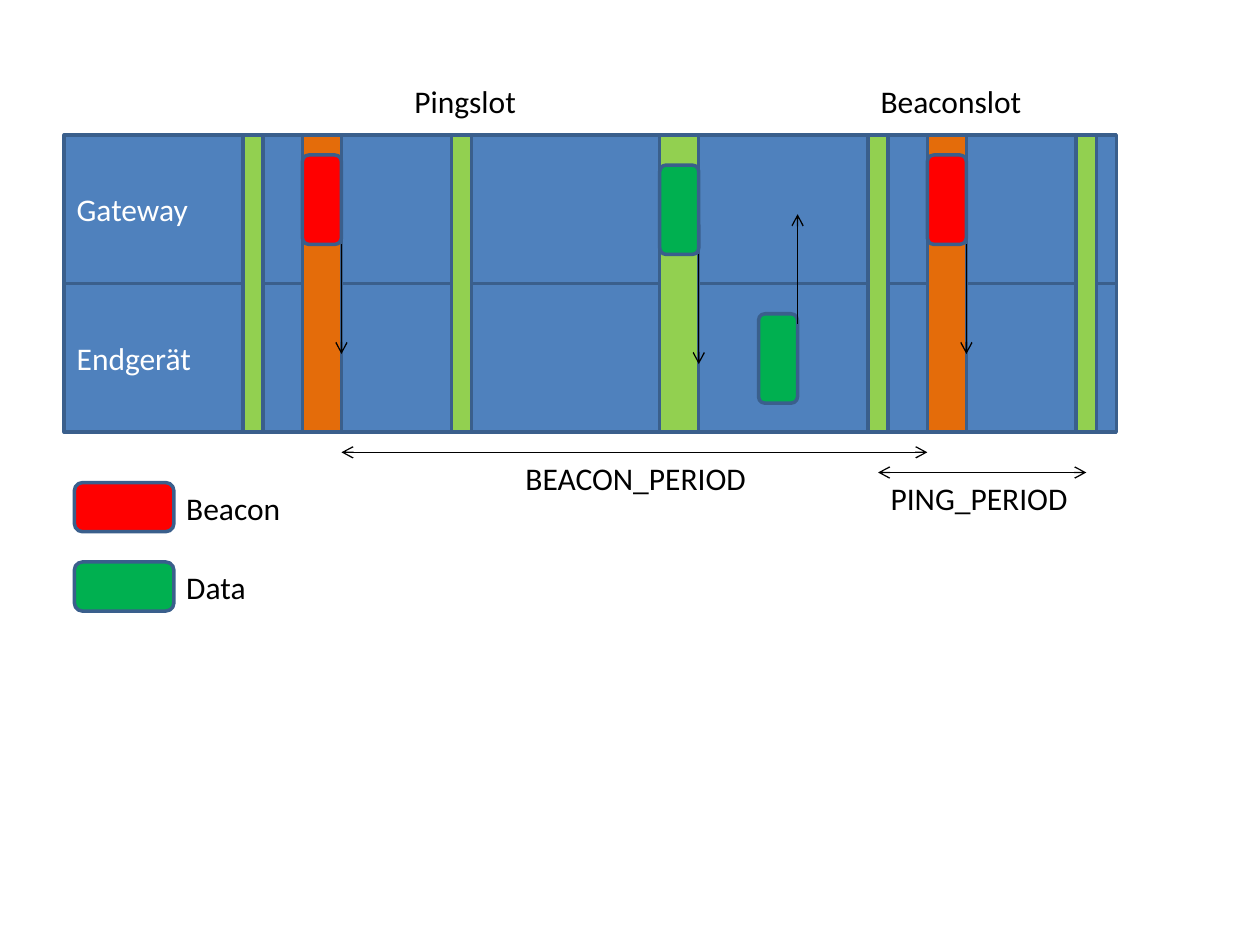
from dataclasses import dataclass

from lxml.etree import SubElement
from pptx import Presentation
from pptx.dml.color import RGBColor
from pptx.enum.shapes import MSO_CONNECTOR, MSO_SHAPE
from pptx.enum.text import MSO_ANCHOR, MSO_AUTO_SIZE, PP_ALIGN
from pptx.oxml.ns import qn
from pptx.slide import Slide
from pptx.text.text import TextFrame
from pptx.util import Inches, Pt

LANE_BLUE = "4F81BD"
OUTLINE = "3A5F8C"
PING_GREEN = "92D050"
BEACON_ORANGE = "E46C0A"
BEACON_RED = "FF0000"
DATA_GREEN = "00B050"
BLACK = "000000"
WHITE = "FFFFFF"

LANE_LEFT, LANE_TOP, LANE_WIDTH, LANE_HEIGHT = 0.51, 1.07, 8.35, 1.18
FIRST_PING, PING_PERIOD = 1.93, 1.653
NARROW, WIDE = 0.16, 0.31
WIDE_PING = 2
BEACON_SLOTS = (2.4, 7.36)
PACKET_HEIGHT = 0.71
ARROW_LENGTH = 0.87


@dataclass(frozen=True)
class Block:
    left: float
    top: float
    width: float
    height: float
    fill: str
    rounded: bool = False
    text: str = ""


@dataclass(frozen=True)
class Label:
    text: str
    left: float
    top: float
    width: float
    align: PP_ALIGN = PP_ALIGN.LEFT


@dataclass(frozen=True)
class Arrow:
    start: tuple[float, float]
    end: tuple[float, float]
    double: bool = False


def color(value: str) -> RGBColor:
    return RGBColor.from_string(value)


def write_text(frame: TextFrame, text: str, ink: str, align: PP_ALIGN) -> None:
    para = frame.paragraphs[0]
    para.alignment = align
    span = para.add_run()
    span.text = text
    span.font.name = "Calibri"
    span.font.size = Pt(18)
    span.font.color.rgb = color(ink)


def draw_block(page: Slide, block: Block) -> None:
    preset = MSO_SHAPE.ROUNDED_RECTANGLE if block.rounded else MSO_SHAPE.RECTANGLE
    box = page.shapes.add_shape(
        preset, Inches(block.left), Inches(block.top),
        Inches(block.width), Inches(block.height),
    )
    box.shadow.inherit = False
    box.fill.solid()
    box.fill.fore_color.rgb = color(block.fill)
    box.line.color.rgb = color(OUTLINE)
    box.line.width = Pt(2)
    if block.text:
        box.text_frame.vertical_anchor = MSO_ANCHOR.MIDDLE
        write_text(box.text_frame, block.text, WHITE, PP_ALIGN.LEFT)


def draw_label(page: Slide, label: Label) -> None:
    box = page.shapes.add_textbox(
        Inches(label.left), Inches(label.top), Inches(label.width), Inches(0.4)
    )
    box.text_frame.word_wrap = True
    box.text_frame.auto_size = MSO_AUTO_SIZE.SHAPE_TO_FIT_TEXT
    write_text(box.text_frame, label.text, BLACK, label.align)


def draw_arrow(page: Slide, arrow: Arrow) -> None:
    connector = page.shapes.add_connector(
        MSO_CONNECTOR.STRAIGHT, *(Inches(value) for value in arrow.start + arrow.end)
    )
    connector.line.color.rgb = color(BLACK)
    connector.line.width = Pt(0.75)
    outline = connector.line._get_or_add_ln()
    for tag in ("a:headEnd", "a:tailEnd") if arrow.double else ("a:tailEnd",):
        SubElement(outline, qn(tag), type="arrow")
    SubElement(connector._element.spPr, qn("a:effectLst"))


def draw_packet(page: Slide, left: float, top: float, fill: str, uplink: bool = False) -> None:
    draw_block(page, Block(left, top, WIDE, PACKET_HEIGHT, fill, rounded=True))
    edge = left + WIDE
    start = top + 0.08 if uplink else top + PACKET_HEIGHT
    end = start - ARROW_LENGTH if uplink else start + ARROW_LENGTH
    draw_arrow(page, Arrow((edge, start), (edge, end)))


def main() -> None:
    deck = Presentation()
    deck.slide_width, deck.slide_height = Inches(10), Inches(7.5)
    page = deck.slides.add_slide(deck.slide_layouts[6])

    for row, name in enumerate(("Gateway", "Endgerät")):
        top = LANE_TOP + row * LANE_HEIGHT
        draw_block(page, Block(LANE_LEFT, top, LANE_WIDTH, LANE_HEIGHT, LANE_BLUE, text=name))

    pings = [FIRST_PING + index * PING_PERIOD for index in range(5)]
    for index, left in enumerate(pings):
        width = WIDE if index == WIDE_PING else NARROW
        draw_block(page, Block(left, LANE_TOP, width, 2 * LANE_HEIGHT, PING_GREEN))
    for left in BEACON_SLOTS:
        draw_block(page, Block(left, LANE_TOP, WIDE, 2 * LANE_HEIGHT, BEACON_ORANGE))

    for left in BEACON_SLOTS:
        draw_packet(page, left, 1.23, BEACON_RED)
    draw_packet(page, pings[WIDE_PING], 1.31, DATA_GREEN)
    draw_packet(page, 6.02, 2.49, DATA_GREEN, uplink=True)

    first_beacon, second_beacon = BEACON_SLOTS
    ping_start, ping_end = (left + NARROW / 2 for left in pings[3:])
    draw_arrow(page, Arrow((first_beacon + WIDE, 3.59), (second_beacon, 3.59), double=True))
    draw_arrow(page, Arrow((ping_start, 3.75), (ping_end, 3.75), double=True))

    legend = (("Beacon", BEACON_RED, 3.83), ("Data", DATA_GREEN, 4.46))
    for name, fill, top in legend:
        draw_block(page, Block(0.59, top, 0.79, 0.39, fill, rounded=True))
        draw_label(page, Label(name, 1.38, top, 1.26))

    labels = (
        Label("Pingslot", 3.19, 0.6, 1.02),
        Label("Beaconslot", 6.89, 0.6, 1.73),
        Label("BEACON_PERIOD", 2.8, 3.59, 4.49, PP_ALIGN.CENTER),
        Label("PING_PERIOD", 6.97, 3.75, 1.73),
    )
    for label in labels:
        draw_label(page, label)

    deck.save("out.pptx")


if __name__ == "__main__":
    main()
